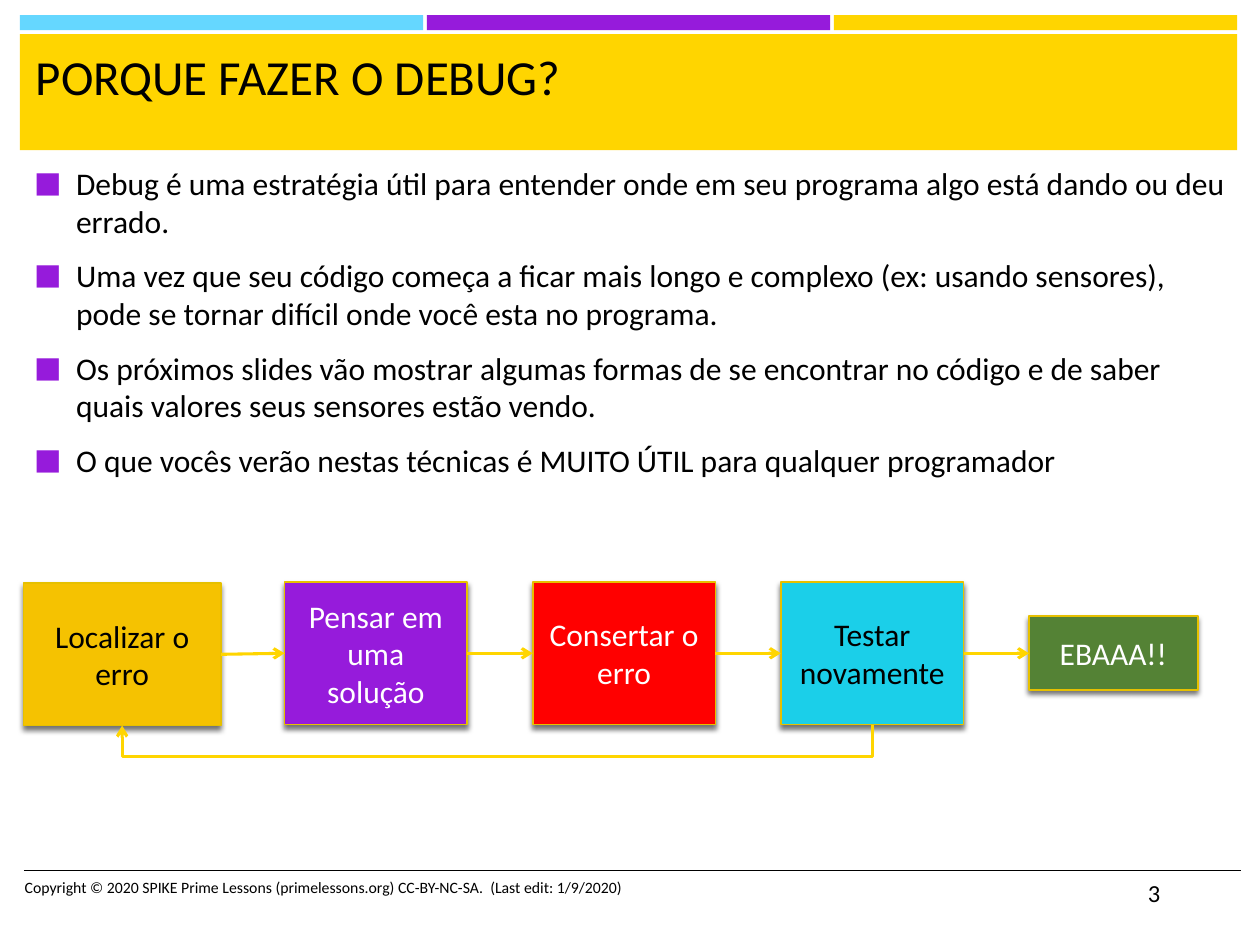
from lxml import etree
from pptx import Presentation
from pptx.dml.color import RGBColor
from pptx.enum.shapes import MSO_CONNECTOR, MSO_SHAPE
from pptx.enum.text import MSO_ANCHOR, PP_ALIGN
from pptx.oxml.ns import qn
from pptx.util import Pt

RECTANGLE, PROCESS = MSO_SHAPE.RECTANGLE, MSO_SHAPE.FLOWCHART_PROCESS
STRAIGHT, ELBOW = MSO_CONNECTOR.STRAIGHT, MSO_CONNECTOR.ELBOW
TOP, MIDDLE, CENTER, LEFT = MSO_ANCHOR.TOP, MSO_ANCHOR.MIDDLE, PP_ALIGN.CENTER, PP_ALIGN.LEFT
SITE_LEFT, SITE_BOTTOM, SITE_RIGHT = 1, 2, 3

FONT = "Calibri"
BLACK, WHITE = "000000", "FFFFFF"
YELLOW, PURPLE, SKY, BORDER = "FFD500", "961BDB", "65D7FF", "E6C000"

POINTS = [
    "Debug é uma estratégia útil para entender onde em seu programa algo está dando ou deu errado.",
    "Uma vez que seu código começa a ficar mais longo e complexo (ex: usando sensores), "
    "pode se tornar difícil onde você esta no programa.",
    "Os próximos slides vão mostrar algumas formas de se encontrar no código e de saber "
    "quais valores seus sensores estão vendo.",
    "O que vocês verão nestas técnicas é MUITO ÚTIL para qualquer programador",
]
COPYRIGHT = "Copyright © 2020 SPIKE Prime Lessons (primelessons.org) CC-BY-NC-SA.  (Last edit: 1/9/2020)"


def color(value):
    return RGBColor.from_string(value)


def add_child(parent, tag, **attributes):
    return etree.SubElement(parent, qn(tag), attributes)


def write(paragraph, text, size, text_color=BLACK, align=LEFT):
    paragraph.text = text
    paragraph.alignment = align
    font = paragraph.font
    font.name, font.size = FONT, Pt(size)
    font.color.rgb = color(text_color)


def add_box(slide, kind, left, top, width, height, fill):
    shape = slide.shapes.add_shape(kind, Pt(left), Pt(top), Pt(width), Pt(height))
    shape.shadow.inherit = False
    shape.fill.solid()
    shape.fill.fore_color.rgb = color(fill)
    shape.line.fill.background()
    return shape


def add_text(slide, left, top, width, height):
    frame = slide.shapes.add_textbox(Pt(left), Pt(top), Pt(width), Pt(height)).text_frame
    frame.word_wrap = True
    frame.vertical_anchor = TOP
    return frame


def add_line(slide, kind, start, end, line_color, weight, arrow=False):
    connector = slide.shapes.add_connector(kind, *(Pt(value) for value in start + end))
    connector.line.color.rgb = color(line_color)
    connector.line.width = Pt(weight)
    if arrow:
        add_child(connector.line._get_or_add_ln(), "a:tailEnd", type="arrow")
    add_child(connector._element.spPr, "a:effectLst")
    return connector


def header(slide, left, top, width, height):
    # Three colour strips above the title band
    gap, strip_height = 2.2, 8.6
    strip_width = (width - 2 * gap) / 3
    for index, fill in enumerate([SKY, PURPLE, YELLOW]):
        strip_left = left + index * (strip_width + gap)
        add_box(slide, RECTANGLE, strip_left, top, strip_width, strip_height, fill)
    band_top = top + 10.9
    add_box(slide, RECTANGLE, left, band_top, width, height - 10.9, YELLOW)
    # Title
    frame = add_text(slide, left + 2, band_top + 3.4, width - 6, 59)
    write(frame.paragraphs[0], "PORQUE FAZER O DEBUG?", 28)


def bullet_list(slide, left, top, width, height):
    frame = add_text(slide, left, top, width, height)
    for index, text in enumerate(POINTS):
        paragraph = frame.add_paragraph() if index else frame.paragraphs[0]
        paragraph.space_before = Pt(3.6 if index else 0)
        paragraph.space_after = Pt(6)
        properties = paragraph._p.get_or_add_pPr()
        properties.set("marL", str(Pt(24)))
        properties.set("indent", str(-Pt(24)))
        add_child(add_child(properties, "a:buClr"), "a:srgbClr", val=PURPLE)
        add_child(properties, "a:buSzPct", val="92000")
        add_child(properties, "a:buFont", typeface=FONT)
        add_child(properties, "a:buChar", char="■")
        write(paragraph, text, 18)


def step(slide, box, fill, text, text_color):
    shape = add_box(slide, PROCESS, *box, fill)
    shape.line.color.rgb = color(BORDER)
    shape.line.width = Pt(1)
    effects = shape._element.spPr.find(qn("a:effectLst"))
    shadow = add_child(effects, "a:outerShdw", blurRad=str(Pt(3)), dist=str(Pt(2)),
                       dir="5400000", algn="ctr", rotWithShape="0")
    add_child(add_child(shadow, "a:srgbClr", val=BLACK), "a:alpha", val="55000")
    shape.text_frame.word_wrap = True
    shape.text_frame.vertical_anchor = MIDDLE
    write(shape.text_frame.paragraphs[0], text, 18, text_color, CENTER)
    return shape


def return_arrow(slide, source, target, drop):
    connector = add_line(slide, ELBOW, (0, 0), (0, 0), YELLOW, 1.75, arrow=True)
    connector.begin_connect(source, SITE_BOTTOM)
    connector.end_connect(target, SITE_BOTTOM)
    # A quarter turn makes the elbow leave and arrive from below
    start_x, end_x = (box.left + box.width // 2 for box in (source, target))
    start_y, end_y = (box.top + box.height for box in (source, target))
    rise, run = end_y - start_y, start_x - end_x
    transform = connector._element.spPr.xfrm
    for flip in ("flipH", "flipV"):
        transform.attrib.pop(flip, None)
    transform.set("rot", "5400000")
    connector.left = (start_x + end_x - rise) // 2
    connector.top = (start_y + end_y - run) // 2
    connector.width, connector.height = rise, run
    guides = connector._element.spPr.find(qn("a:prstGeom")).get_or_add_avLst()
    add_child(guides, "a:gd", name="adj1", fmla=f"val {round(Pt(drop) / rise * 100000)}")


def debug_cycle(slide, left, top, height):
    first_left, pitch, width = left + 149.2, 141.8, 104.4
    last_height = 42.4
    columns = [first_left + index * pitch for index in range(4)]
    steps = [
        ((left, top + 0.6, 112.8, height), "F5C201", "Localizar o erro", BLACK),
        ((columns[0], top, width, height), PURPLE, "Pensar em uma solução", WHITE),
        ((columns[1], top, width, height), "FF0000", "Consertar o erro", WHITE),
        ((columns[2], top, width, height), "1BCFE9", "Testar novamente", BLACK),
        ((columns[3], top + (height - last_height) / 2, 96.4, last_height), "548235", "EBAAA!!", WHITE),
    ]
    shapes = [step(slide, *details) for details in steps]
    # Arrows from each step to the next
    for source, target in zip(shapes, shapes[1:]):
        connector = add_line(slide, STRAIGHT, (0, 0), (0, 0), YELLOW, 1.75, arrow=True)
        connector.begin_connect(source, SITE_RIGHT)
        connector.end_connect(target, SITE_LEFT)
    # Back from testing to locating the error
    return_arrow(slide, shapes[3], shapes[0], drop=18.6)


def footer(slide, left, top, width, height):
    add_line(slide, STRAIGHT, (left, top), (left + width, top), BLACK, 1)
    copyright_frame = add_text(slide, left - 6.6, top + 0.8, 384, height)
    write(copyright_frame.paragraphs[0], COPYRIGHT, 9)
    number_frame = add_text(slide, left + width - 60.4, top + 0.8, 60.4, height)
    write(number_frame.paragraphs[0], "3", 14)


def main():
    presentation = Presentation()
    presentation.slide_width, presentation.slide_height = Pt(720), Pt(540)
    slide = presentation.slides.add_slide(presentation.slide_layouts[6])
    header(slide, 11.4, 8.6, 695.6, 77.2)
    bullet_list(slide, 12.4, 90, 695.6, 400)
    debug_cycle(slide, 13.4, 332.6, 81.4)
    footer(slide, 13.6, 497.4, 695.6, 29)
    presentation.save("out.pptx")


if __name__ == "__main__":
    main()
